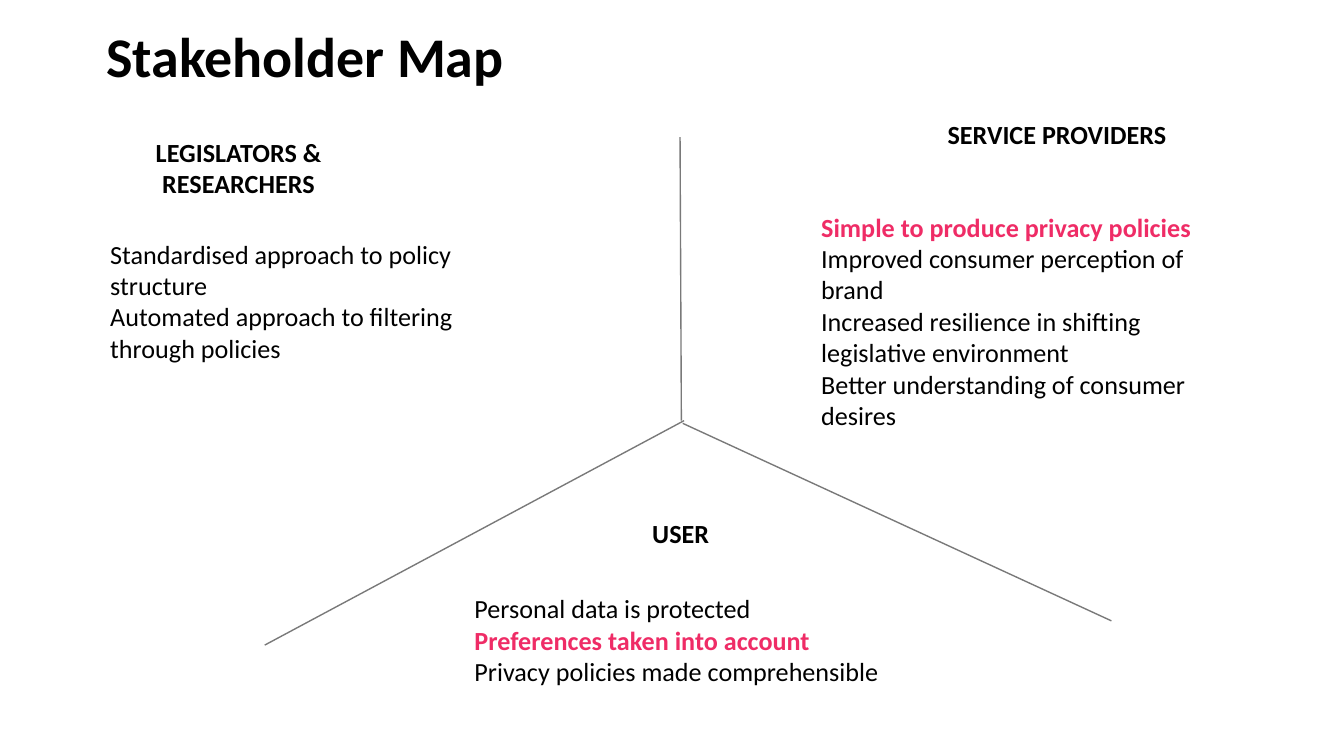
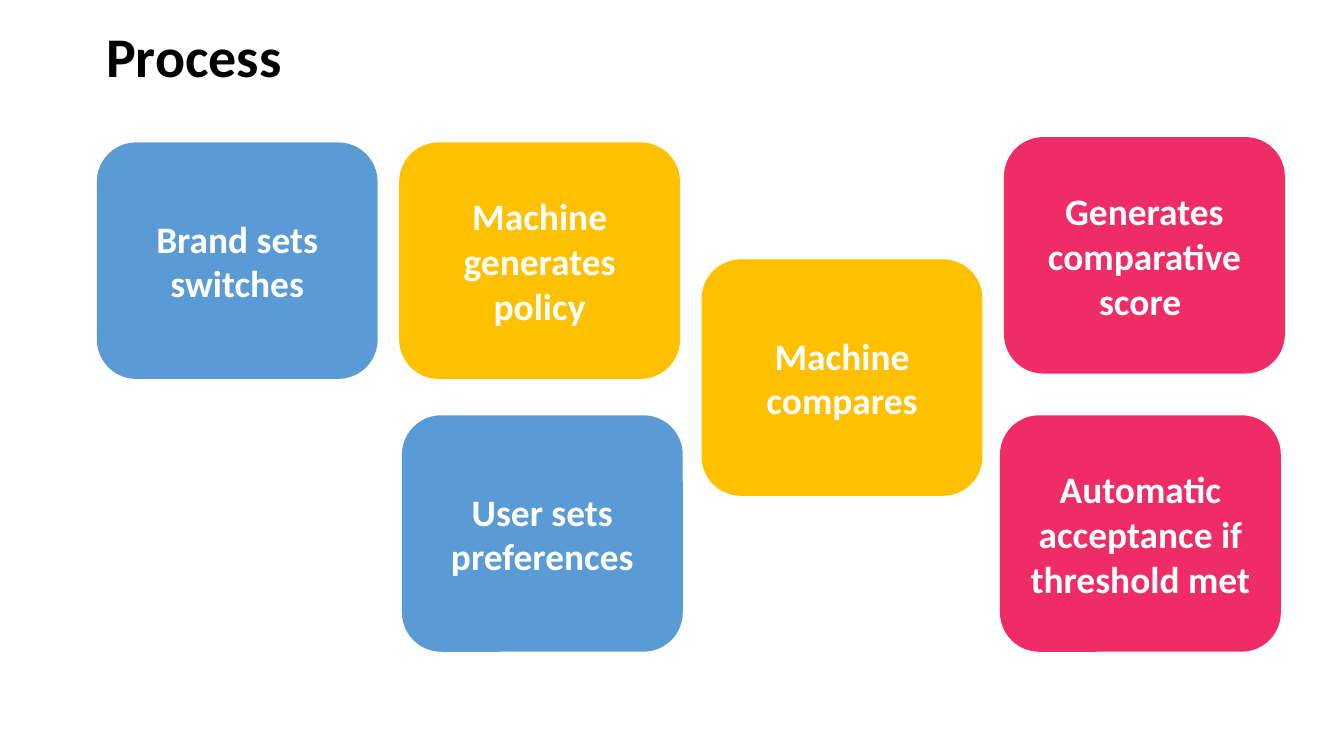
from dataclasses import dataclass
from typing import Any

from lxml.etree import SubElement
from pptx import Presentation
from pptx.dml.color import RGBColor
from pptx.enum.shapes import MSO_CONNECTOR, MSO_SHAPE
from pptx.enum.text import MSO_ANCHOR, MSO_AUTO_SIZE, PP_ALIGN
from pptx.oxml.ns import qn
from pptx.util import Emu, Pt

# Shared look
EMU_PER_PX = 9144  # 100 px to the inch
SLIDE_WIDTH = 1000
FONT = "Calibri"
BLACK, WHITE, GREY = "000000", "FFFFFF", "797979"
BLUE, YELLOW, PINK = "5B9BD5", "FFC000", "EF2C66"
TITLE_BOX = (72, 18, 869, 83)
TITLE_ONLY, COMPARISON = 5, 4

CENTRED = {"alignment": PP_ALIGN.CENTER}
LEFT = {"alignment": PP_ALIGN.LEFT, "space_before": Pt(0)}
TITLE = LEFT | {"line_spacing": 0.9}


@dataclass(frozen=True)
class Line:
    text: str
    highlighted: bool = False


@dataclass(frozen=True)
class Stakeholder:
    heading: tuple[str, ...]
    heading_at: tuple[int, int]
    list_box: tuple[int, int, int, int]
    needs: tuple[Line, ...]


@dataclass(frozen=True)
class Step:
    text: str
    column: int
    top: int
    fill: str
    nudge: int = 0


STAKEHOLDERS = (
    Stakeholder(("LEGISLATORS &", "RESEARCHERS"), (72, 102), (72, 167, 334, 167), (
        Line("Standardised approach to policy structure"),
        Line("Automated approach to filtering through policies"),
    )),
    Stakeholder(("SERVICE PROVIDERS",), (681, 77), (601, 147, 334, 167), (
        Line("Simple to produce privacy policies", True),
        Line("Improved consumer perception of brand"),
        Line("Increased resilience in shifting legislative environment"),
        Line("Better understanding of consumer desires"),
    )),
    Stakeholder(("USER",), (401, 374), (343, 431, 369, 105), (
        Line("Personal data is protected"),
        Line("Preferences taken into account", True),
        Line("Privacy policies made comprehensible"),
    )),
)
HEADING_SIZE = (211, 45)
DIVIDERS = ((507, 313, 506, 102), (827, 462, 508, 315), (509, 313, 197, 480))

STEPS = (
    Step("Brand sets switches", 0, 106, BLUE),
    Step("Machine generates policy", 1, 106, YELLOW),
    Step("User sets preferences", 1, 309, BLUE, 2),
    Step("Machine compares", 2, 193, YELLOW),
    Step("Generates comparative score ", 3, 102, PINK),
    Step("Automatic acceptance if threshold met", 3, 309, PINK, -3),
)
STEP_SIZE = (209, 176)
STEP_LEFT, STEP_PITCH = 72, 225


def px(length: int) -> Emu:
    return Emu(length * EMU_PER_PX)


def colour(value: str) -> RGBColor:
    return RGBColor.from_string(value)


def set_all(target: Any, values: dict[str, Any]) -> None:
    for name, value in values.items():
        setattr(target, name, value)


def place(shape: Any, box: tuple[int, int, int, int]) -> None:
    set_all(shape, dict(zip(("left", "top", "width", "height"), map(px, box))))


def set_frame(shape: Any, anchor: Any, inset_x: int = 10, inset_y: int = 10) -> None:
    set_all(shape.text_frame, {
        "word_wrap": True, "auto_size": MSO_AUTO_SIZE.NONE, "vertical_anchor": anchor,
        "margin_left": px(inset_x), "margin_right": px(inset_x),
        "margin_top": px(inset_y), "margin_bottom": px(inset_y),
    })


def write(shape: Any, texts: list[str], layout: dict[str, Any], size: int,
          text_colour: str = BLACK, bold: bool = True) -> None:
    frame = shape.text_frame
    for index, text in enumerate(texts):
        paragraph = frame.add_paragraph() if index else frame.paragraphs[0]
        set_all(paragraph, layout)
        run = paragraph.add_run()
        run.text = text
        set_all(run.font, {"name": FONT, "size": Pt(size), "bold": bold})
        run.font.color.rgb = colour(text_colour)


def add_titled_slide(presentation: Any, layout: int, title: str) -> Any:
    slide = presentation.slides.add_slide(presentation.slide_layouts[layout])
    place(slide.shapes.title, TITLE_BOX)
    set_frame(slide.shapes.title, MSO_ANCHOR.TOP, 7, 4)
    write(slide.shapes.title, [title], TITLE, 30)
    return slide


def add_divider(slide: Any, ends: tuple[int, int, int, int]) -> None:
    connector = slide.shapes.add_connector(MSO_CONNECTOR.STRAIGHT, *map(px, ends))
    connector.line.color.rgb = colour(GREY)
    connector.line.width = Pt(0.75)
    SubElement(connector._element.spPr, qn("a:effectLst"))


def add_heading(slide: Any, stakeholder: Stakeholder) -> None:
    box = slide.shapes.add_textbox(*map(px, stakeholder.heading_at + HEADING_SIZE))
    set_frame(box, MSO_ANCHOR.MIDDLE)
    write(box, list(stakeholder.heading), CENTRED, 14)


def fill_list(placeholder: Any, stakeholder: Stakeholder) -> None:
    place(placeholder, stakeholder.list_box)
    set_frame(placeholder, MSO_ANCHOR.TOP)
    write(placeholder, [need.text for need in stakeholder.needs], LEFT, 14, bold=False)
    for paragraph, need in zip(placeholder.text_frame.paragraphs, stakeholder.needs):
        # Plain lines without bullet or indent
        properties = paragraph._p.get_or_add_pPr()
        properties.set("marL", "0")
        properties.set("indent", "0")
        SubElement(properties, qn("a:buNone"))
        if need.highlighted:
            font = paragraph.runs[0].font
            font.bold = True
            font.color.rgb = colour(PINK)


def add_step(slide: Any, step: Step) -> None:
    left = STEP_LEFT + step.column * STEP_PITCH + step.nudge
    box = (left, step.top) + STEP_SIZE
    shape = slide.shapes.add_shape(MSO_SHAPE.ROUNDED_RECTANGLE, *map(px, box))
    shape.shadow.inherit = False
    shape.fill.solid()
    shape.fill.fore_color.rgb = colour(step.fill)
    shape.line.fill.background()
    set_frame(shape, MSO_ANCHOR.MIDDLE)
    write(shape, [step.text], CENTRED, 20, WHITE)


def build_stakeholder_map(presentation: Any) -> None:
    slide = add_titled_slide(presentation, COMPARISON, "Stakeholder Map")
    bodies = list(slide.placeholders)[1:]
    for divider in DIVIDERS:
        add_divider(slide, divider)
    for placeholder, stakeholder in zip(bodies, STAKEHOLDERS):
        add_heading(slide, stakeholder)
        fill_list(placeholder, stakeholder)
    for unused in bodies[len(STAKEHOLDERS):]:
        unused._element.getparent().remove(unused._element)


def build_process(presentation: Any) -> None:
    slide = add_titled_slide(presentation, TITLE_ONLY, "Process")
    for step in STEPS:
        add_step(slide, step)


def main() -> None:
    presentation = Presentation()
    # Widescreen page, 16 to 9
    width = px(SLIDE_WIDTH)
    set_all(presentation, {"slide_width": width, "slide_height": Emu(width * 9 // 16)})
    build_stakeholder_map(presentation)
    build_process(presentation)
    presentation.save("out.pptx")


if __name__ == "__main__":
    main()
